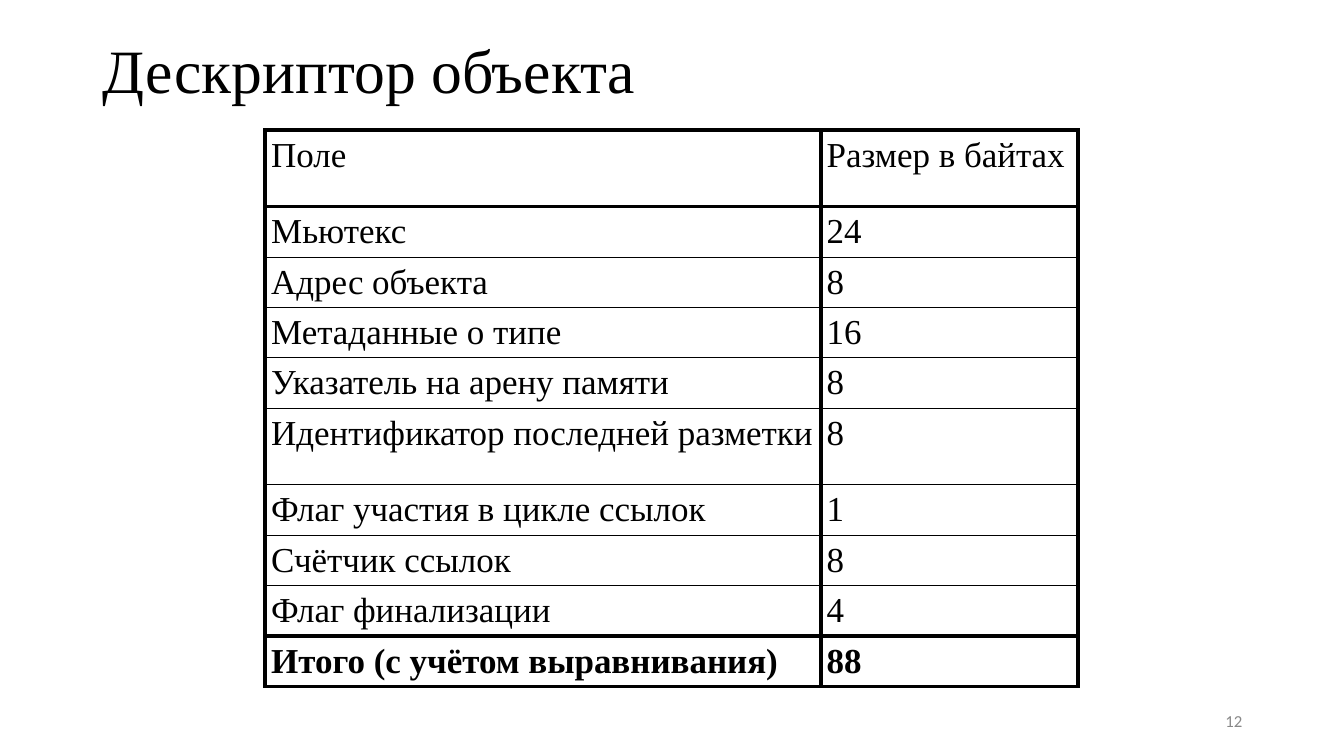
from dataclasses import dataclass

from lxml.etree import SubElement
from pptx import Presentation
from pptx.dml.color import RGBColor
from pptx.enum.text import MSO_ANCHOR, PP_ALIGN
from pptx.oxml.ns import qn
from pptx.util import Emu, Pt

TITLE = "Дескриптор объекта"
PAGE_NUMBER = "12"
ROWS = [
    ("Поле", "Размер в байтах"),
    ("Мьютекс", "24"),
    ("Адрес объекта", "8"),
    ("Метаданные о типе", "16"),
    ("Указатель на арену памяти", "8"),
    ("Идентификатор последней разметки", "8"),
    ("Флаг участия в цикле ссылок", "1"),
    ("Счётчик ссылок", "8"),
    ("Флаг финализации", "4"),
    ("Итого (с учётом выравнивания)", "88"),
]
TALL_ROWS = {0, 5}
HEAVY_EDGES = {0, 1, len(ROWS) - 1, len(ROWS)}

SLIDE = (1333, 750)
TITLE_BOX = (92, 0, 1150, 145)
NUMBER_BOX = (942, 695, 300, 40)
TABLE_AT = (263, 129)
COLUMNS = (551, 255)
ROW_HEIGHT, TALL_HEIGHT = 50, 76
CELL_MARGIN, BOTTOM_MARGIN = 6, 2


@dataclass(frozen=True)
class Theme:
    font: str = "Times New Roman"
    number_font: str = "Calibri"
    ink: str = "000000"
    muted: str = "888888"
    title_size: int = 44
    cell_size: int = 25
    number_size: int = 12
    heavy_line: float = 3
    thin_line: float = 0.75


THEME = Theme()


def px(n):
    return Emu(n * 9144)


def style(p, font, size, color, bold=False):
    p.font.name = font
    p.font.size = Pt(size)
    p.font.bold = bold
    p.font.color.rgb = RGBColor.from_string(color)


def add_text(s, box, text, font, size, color):
    tf = s.shapes.add_textbox(*map(px, box)).text_frame
    tf.word_wrap = True
    tf.vertical_anchor = MSO_ANCHOR.MIDDLE
    p = tf.paragraphs[0]
    p.text = text
    style(p, font, size, color)
    return p


def set_borders(cell, widths):
    """Draw the cell's borders; widths are points by side L, R, T, B."""
    tc_pr = cell._tc.get_or_add_tcPr()
    for side, width in widths.items():
        ln = SubElement(tc_pr, qn(f"a:ln{side}"), w=str(Pt(width)))
        fill = SubElement(ln, qn("a:solidFill"))
        SubElement(fill, qn("a:srgbClr"), val=THEME.ink)


def edge_width(edge):
    return THEME.heavy_line if edge in HEAVY_EDGES else THEME.thin_line


def add_field_table(s):
    heights = [TALL_HEIGHT if i in TALL_ROWS else ROW_HEIGHT for i in range(len(ROWS))]
    size = (sum(COLUMNS), sum(heights))
    table = s.shapes.add_table(
        len(ROWS), len(COLUMNS), *map(px, TABLE_AT + size)
    ).table
    table.first_row = table.horz_banding = False
    for column, width in zip(table.columns, COLUMNS):
        column.width = px(width)
    for i, (row, height, texts) in enumerate(zip(table.rows, heights, ROWS)):
        row.height = px(height)
        for cell, text in zip(row.cells, texts):
            cell.margin_left = cell.margin_right = cell.margin_top = px(CELL_MARGIN)
            cell.margin_bottom = px(BOTTOM_MARGIN)
            p = cell.text_frame.paragraphs[0]
            p.text = text
            style(p, THEME.font, THEME.cell_size, THEME.ink, bold=i == len(ROWS) - 1)
            set_borders(cell, {
                "L": THEME.heavy_line, "R": THEME.heavy_line,
                "T": edge_width(i), "B": edge_width(i + 1),
            })
            cell.fill.background()


def main():
    prs = Presentation()
    prs.slide_width, prs.slide_height = map(px, SLIDE)
    s = prs.slides.add_slide(prs.slide_layouts[6])
    title = add_text(s, TITLE_BOX, TITLE, THEME.font, THEME.title_size, THEME.ink)
    title.line_spacing = 0.9
    add_field_table(s)
    number = add_text(s, NUMBER_BOX, PAGE_NUMBER, THEME.number_font,
                      THEME.number_size, THEME.muted)
    number.alignment = PP_ALIGN.RIGHT
    prs.save("out.pptx")


if __name__ == "__main__":
    main()
